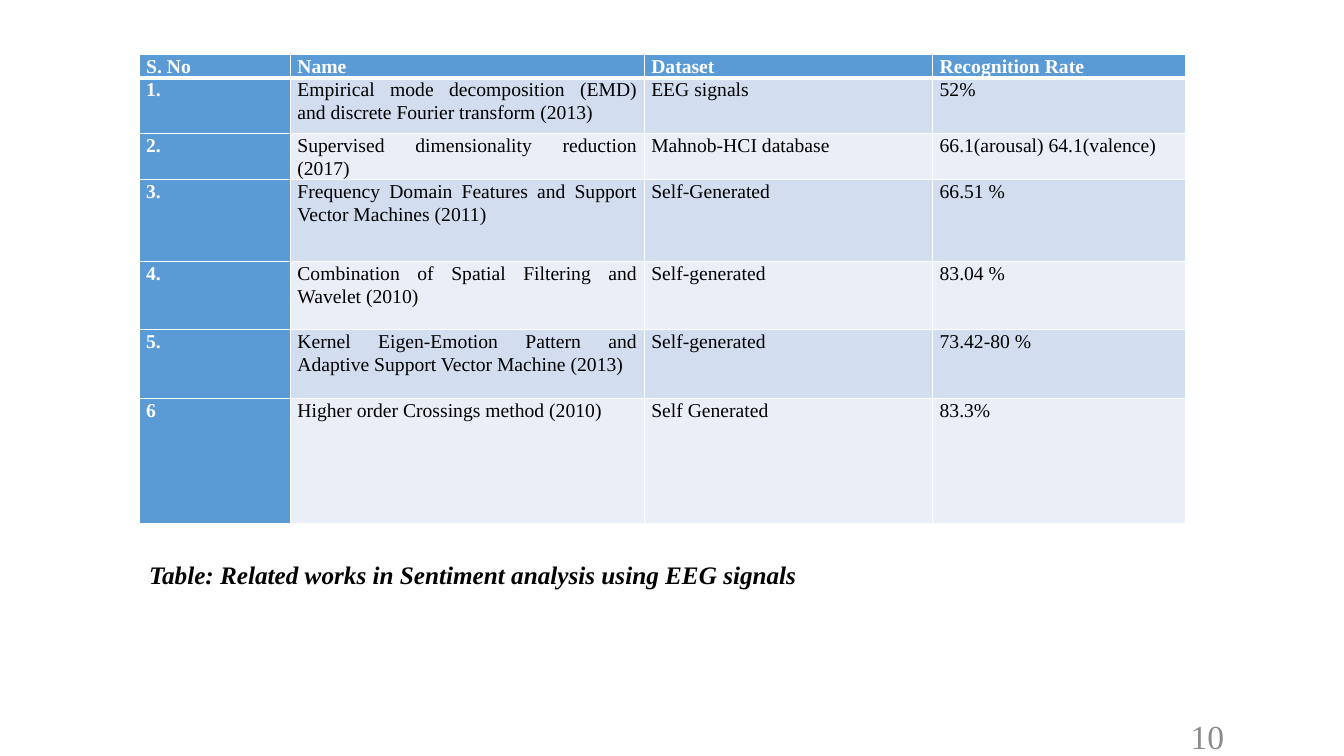
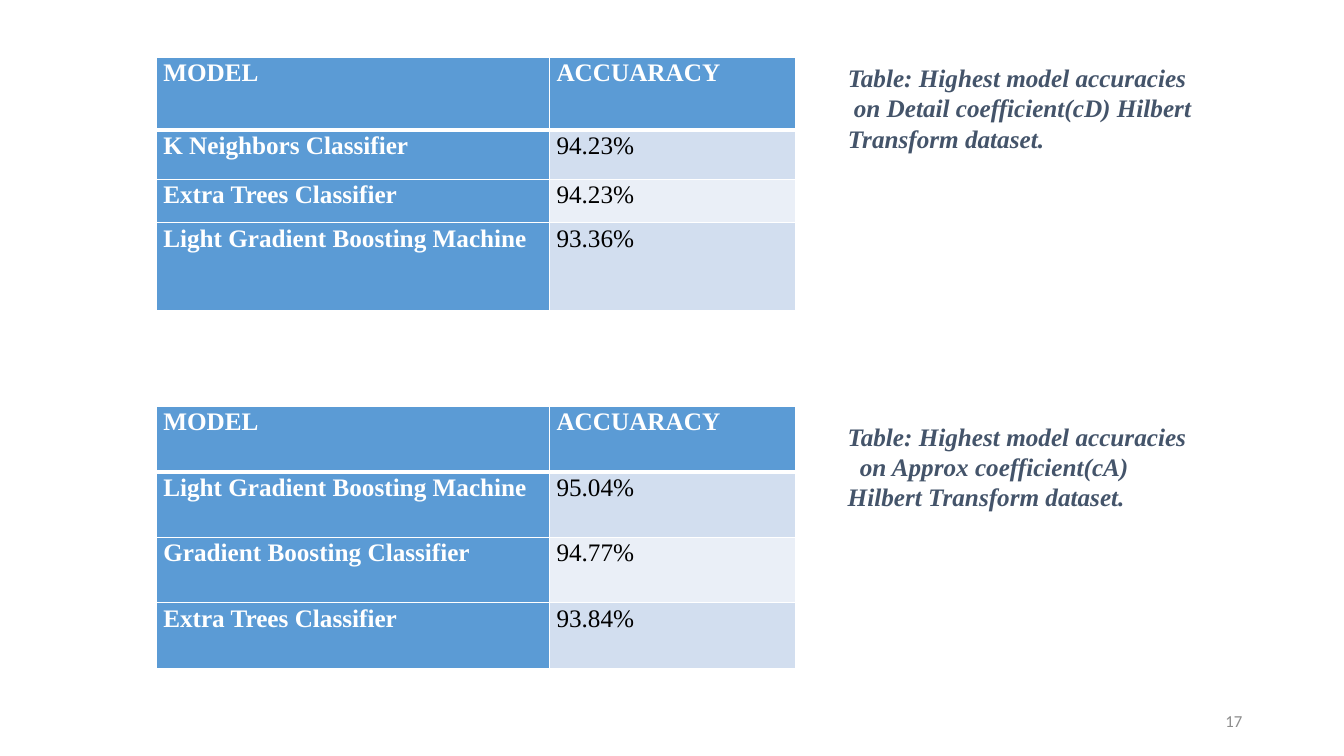
"""Build two slides of result tables from EEG emotion recognition studies."""
from dataclasses import dataclass

from lxml import etree
from pptx import Presentation
from pptx import util as u
from pptx.dml import color
from pptx.enum import text
from pptx.oxml import ns

EMU_PER_PX = 9144
SERIF = "Times New Roman"
COLOURS = {
    "header": "5B9BD5",
    "band_dark": "D2DEEF",
    "band_light": "EAEFF7",
    "white": "FFFFFF",
    "black": "000000",
    "slate": "44546A",
    "grey": "8C8C8C",
}


@dataclass(frozen=True)
class Box:
    left: int
    top: int
    width: int
    height: int


@dataclass(frozen=True)
class TextStyle:
    size: int
    colour: str
    bold: bool = False
    italic: bool = False
    font: str = SERIF


@dataclass(frozen=True)
class ResultTable:
    left: int
    top: int
    columns: tuple[int, ...]
    row_heights: tuple[int, ...]
    size: int
    rows: tuple[tuple[str, ...], ...]


@dataclass(frozen=True)
class Caption:
    box: Box
    colour: str
    lines: tuple[str, ...]
    second_line_indent: int = 0


@dataclass(frozen=True)
class PageNumber:
    box: Box
    label: str
    style: TextStyle


@dataclass(frozen=True)
class Page:
    tables: tuple[ResultTable, ...]
    captions: tuple[Caption, ...]
    number: PageNumber


MODEL_COLUMNS = (390, 244)
MODEL_HEADER = ("MODEL", "ACCUARACY")

PAGES = (
    Page(
        tables=(
            ResultTable(
                138, 54, (150, 351, 286, 251), (20, 55, 42, 81, 68, 68, 124), 14,
                (
                    ("S. No", "Name", "Dataset", "Recognition Rate"),
                    ("1.", "Empirical mode decomposition (EMD) and discrete Fourier transform (2013)",
                     "EEG signals", "52%"),
                    ("2.", "Supervised dimensionality reduction (2017)",
                     "Mahnob-HCI database", "66.1(arousal) 64.1(valence)"),
                    ("3.", "Frequency Domain Features and Support Vector Machines (2011)",
                     "Self-Generated", "66.51 %"),
                    ("4.", "Combination of Spatial Filtering and Wavelet (2010)",
                     "Self-generated", "83.04 %"),
                    ("5.", "Kernel Eigen-Emotion Pattern and Adaptive Support Vector Machine (2013)",
                     "Self-generated", "73.42-80 %"),
                    ("6", "Higher order Crossings method (2010)", "Self Generated", "83.3%"),
                ),
            ),
        ),
        captions=(
            Caption(Box(138, 550, 669, 40), "black",
                    ("Table: Related works in Sentiment analysis using EEG signals",)),
        ),
        number=PageNumber(Box(924, 710, 300, 40), "10", TextStyle(24, "grey")),
    ),
    Page(
        tables=(
            ResultTable(
                155, 57, MODEL_COLUMNS, (72, 49, 43, 87), 18,
                (
                    MODEL_HEADER,
                    ("K Neighbors Classifier", "94.23%"),
                    ("Extra Trees Classifier", "94.23%"),
                    ("Light Gradient Boosting Machine", "93.36%"),
                ),
            ),
            ResultTable(
                155, 403, MODEL_COLUMNS, (65,) * 4, 18,
                (
                    MODEL_HEADER,
                    ("Light Gradient Boosting Machine", "95.04%"),
                    ("Gradient Boosting Classifier", "94.77%"),
                    ("Extra Trees Classifier", "93.84%"),
                ),
            ),
        ),
        captions=(
            Caption(Box(831, 57, 371, 131), "slate",
                    ("Table: Highest model accuracies", "on Detail coefficient(cD) Hilbert",
                     "Transform dataset."), 6),
            Caption(Box(831, 413, 367, 145), "slate",
                    ("Table: Highest model accuracies", "on Approx coefficient(cA)",
                     "Hilbert Transform dataset."), 12),
        ),
        number=PageNumber(Box(942, 695, 300, 40), "17", TextStyle(12, "grey", font="Calibri")),
    ),
)


def px(length: int) -> u.Emu:
    return u.Emu(length * EMU_PER_PX)


def rgb(name: str) -> color.RGBColor:
    return color.RGBColor.from_string(COLOURS[name])


def style_paragraph(paragraph, style: TextStyle) -> None:
    font = paragraph.font
    font.name, font.size = style.font, u.Pt(style.size)
    font.bold, font.italic = style.bold, style.italic
    font.color.rgb = rgb(style.colour)


def set_borders(cell, top: int, bottom: int) -> None:
    properties = cell._tc.get_or_add_tcPr()
    for side, points in (("L", 1), ("R", 1), ("T", top), ("B", bottom)):
        line = etree.SubElement(properties, ns.qn(f"a:ln{side}"), w=str(u.Pt(points)))
        fill = etree.SubElement(line, ns.qn("a:solidFill"))
        etree.SubElement(fill, ns.qn("a:srgbClr"), val=COLOURS["white"])


def draw_cell(cell, label: str, row: int, column: int, size: int) -> None:
    heading = row == 0 or column == 0
    band = "band_dark" if row % 2 else "band_light"
    set_borders(cell, top=3 if row == 1 else 1, bottom=3 if row == 0 else 1)
    cell.fill.solid()
    cell.fill.fore_color.rgb = rgb("header" if heading else band)
    cell.margin_left = cell.margin_right = px(7)
    cell.margin_top = cell.margin_bottom = 0
    paragraph = cell.text_frame.paragraphs[0]
    paragraph.text = label
    paragraph.alignment = text.PP_ALIGN.JUSTIFY
    paragraph.line_spacing = 1.07
    paragraph.space_after = u.Pt(8)
    style_paragraph(paragraph, TextStyle(size, "white" if heading else "black", bold=heading))


def draw_table(slide, results: ResultTable) -> None:
    table = slide.shapes.add_table(
        len(results.rows), len(results.columns), px(results.left), px(results.top),
        px(sum(results.columns)), px(sum(results.row_heights)),
    ).table
    table.first_col = True
    for column, width in zip(table.columns, results.columns):
        column.width = px(width)
    for row, height in zip(table.rows, results.row_heights):
        row.height = px(height)
    for row, labels in enumerate(results.rows):
        for column, label in enumerate(labels):
            draw_cell(table.cell(row, column), label, row, column, results.size)


def add_text(slide, box: Box, lines: tuple[str, ...], style: TextStyle):
    frame = slide.shapes.add_textbox(
        px(box.left), px(box.top), px(box.width), px(box.height)
    ).text_frame
    frame.word_wrap = True
    frame.text = "\n".join(lines)
    for paragraph in frame.paragraphs:
        style_paragraph(paragraph, style)
    return frame


def draw_caption(slide, caption: Caption) -> None:
    style = TextStyle(18, caption.colour, bold=True, italic=True)
    frame = add_text(slide, caption.box, caption.lines, style)
    if caption.second_line_indent:
        properties = frame.paragraphs[1]._p.get_or_add_pPr()
        properties.set("marL", str(px(caption.second_line_indent)))


def draw_page_number(slide, number: PageNumber) -> None:
    frame = add_text(slide, number.box, (number.label,), number.style)
    frame.vertical_anchor = text.MSO_ANCHOR.MIDDLE
    frame.paragraphs[0].alignment = text.PP_ALIGN.RIGHT


def main() -> None:
    deck = Presentation()
    deck.slide_width, deck.slide_height = px(1333), px(750)
    blank = deck.slide_layouts[6]
    for page in PAGES:
        slide = deck.slides.add_slide(blank)
        for results in page.tables:
            draw_table(slide, results)
        for caption in page.captions:
            draw_caption(slide, caption)
        draw_page_number(slide, page.number)
    deck.save("out.pptx")


if __name__ == "__main__":
    main()
